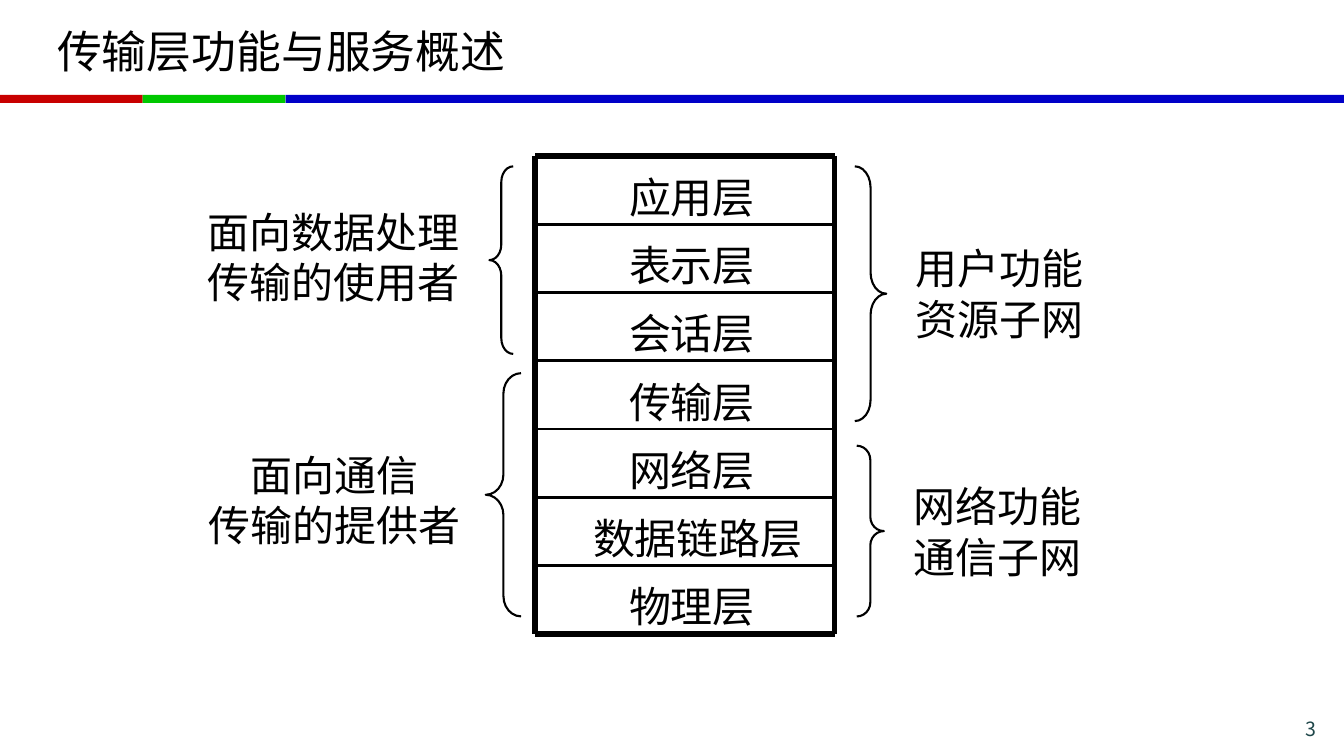
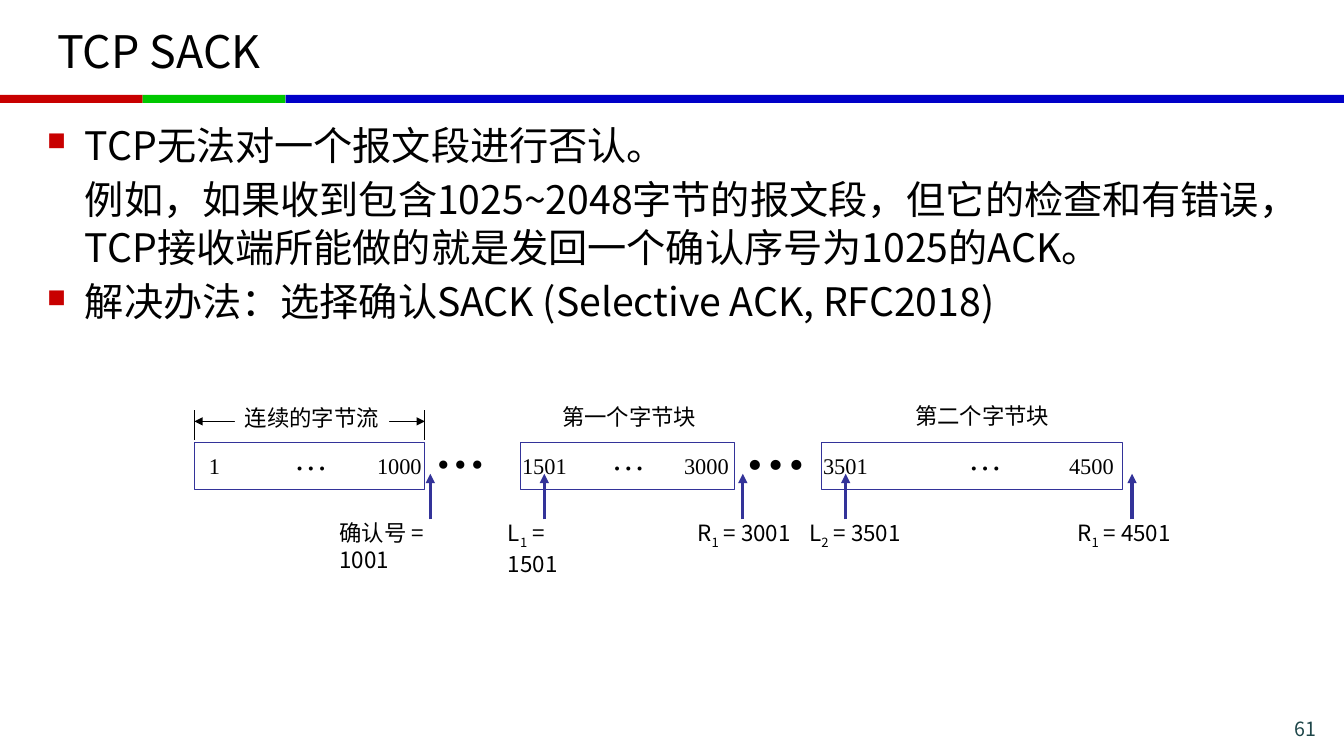
from lxml import etree
from pptx import Presentation
from pptx.dml.color import RGBColor
from pptx.enum.shapes import MSO_CONNECTOR, MSO_SHAPE
from pptx.enum.text import MSO_ANCHOR, PP_ALIGN
from pptx.oxml.ns import qn
from pptx.util import Pt

STRAIGHT = MSO_CONNECTOR.STRAIGHT
RECTANGLE = MSO_SHAPE.RECTANGLE
LEFT_BRACE, RIGHT_BRACE = MSO_SHAPE.LEFT_BRACE, MSO_SHAPE.RIGHT_BRACE
TOP, MIDDLE = MSO_ANCHOR.TOP, MSO_ANCHOR.MIDDLE
LEFT, CENTER, RIGHT = PP_ALIGN.LEFT, PP_ALIGN.CENTER, PP_ALIGN.RIGHT

SANS, SERIF = "Noto Sans CJK SC", "Times New Roman"
BLACK, WHITE, NAVY, PAGE_GREEN = "000000", "FFFFFF", "333399", "1E4649"
RED, GREEN, BLUE = "C80000", "00C800", "0000C8"
WIDTH, HEIGHT = 960, 540


def rgb(value):
    return RGBColor.from_string(value)


def add_xml(parent, tag, **attributes):
    return etree.SubElement(parent, qn(tag), **attributes)


class Deck:
    def __init__(self):
        self.prs = Presentation()
        self.prs.slide_width, self.prs.slide_height = Pt(WIDTH), Pt(HEIGHT)
        self.shapes = None

    def new_slide(self, title, number):
        """Start a slide with its title, colour band and page number."""
        self.shapes = self.prs.slides.add_slide(self.prs.slide_layouts[6]).shapes
        for left, right, color in ((0, 102, RED), (102, 204, GREEN), (204, WIDTH, BLUE)):
            self.shape(RECTANGLE, left, 67.7, right - left, 5.8, fill=color)
        self.text(title, 33.8, 5.8, 892, 60.5, size=32, anchor=MIDDLE, wrap=True)
        self.text(number, 854, 508.3, 93.6, 20.2, size=14, color=PAGE_GREEN,
                  align=RIGHT, wrap=True)

    def shape(self, kind, left, top, width, height, fill=None, line=None, weight=0.75):
        shape = self.shapes.add_shape(kind, Pt(left), Pt(top), Pt(width), Pt(height))
        shape.shadow.inherit = False
        if fill:
            shape.fill.solid()
            shape.fill.fore_color.rgb = rgb(fill)
        else:
            shape.fill.background()
        if line:
            shape.line.color.rgb = rgb(line)
            shape.line.width = Pt(weight)
        else:
            shape.line.fill.background()
        return shape

    def brace(self, kind, left, top, width, height):
        brace = self.shape(kind, left, top, width, height, line=BLACK, weight=1.5)
        brace.adjustments[0] = height / 12 / width

    def line(self, x1, y1, x2, y2, color=BLACK, weight=0.75, head=False, tail=False):
        line = self.shapes.add_connector(STRAIGHT, Pt(x1), Pt(y1), Pt(x2), Pt(y2))
        line.line.color.rgb = rgb(color)
        line.line.width = Pt(weight)
        for wanted, tag in ((head, "a:headEnd"), (tail, "a:tailEnd")):
            if wanted:
                add_xml(line.line._get_or_add_ln(), tag, type="triangle")
        add_xml(line._element.spPr, "a:effectLst")

    def style(self, paragraph, size, font, color, bold=False):
        paragraph.font.size = Pt(size)
        paragraph.font.name = font
        paragraph.font.bold = bold
        paragraph.font.color.rgb = rgb(color)
        add_xml(paragraph._p.pPr.find(qn("a:defRPr")), "a:ea", typeface=font)

    def text(self, content, left, top, width, height, size=16, font=SANS, color=BLACK,
             align=LEFT, anchor=TOP, wrap=False, margins=(7.2, 3.6), bold=False, fill=None):
        """Each line is a string, or a tuple whose odd parts are subscripts."""
        box = self.shapes.add_textbox(Pt(left), Pt(top), Pt(width), Pt(height))
        if fill:
            box.fill.solid()
            box.fill.fore_color.rgb = rgb(fill)
        frame = box.text_frame
        frame.word_wrap = wrap
        frame.vertical_anchor = anchor
        frame.margin_left = frame.margin_right = Pt(margins[0])
        frame.margin_top = frame.margin_bottom = Pt(margins[1])
        lines = content if isinstance(content, list) else [content]
        for i, parts in enumerate(lines):
            paragraph = frame.add_paragraph() if i else frame.paragraphs[0]
            paragraph.alignment = align
            for j, part in enumerate((parts,) if isinstance(parts, str) else parts):
                run = paragraph.add_run()
                run.text = part
                if j % 2:
                    run._r.get_or_add_rPr().set("baseline", "-25000")
            self.style(paragraph, size, font, color, bold)

    def body(self, items, left, top, width, height, size=28):
        """Items are (bulleted, text) pairs sharing one text indent."""
        box = self.shapes.add_textbox(Pt(left), Pt(top), Pt(width), Pt(height))
        box.text_frame.word_wrap = True
        indent = Pt(27)
        for i, (bulleted, content) in enumerate(items):
            paragraph = box.text_frame.add_paragraph() if i else box.text_frame.paragraphs[0]
            paragraph.text = content
            if i:
                paragraph.space_before = Pt(size * 0.2)
            props = paragraph._p.get_or_add_pPr()
            props.set("marL", str(indent))
            props.set("indent", str(-indent if bulleted else 0))
            if bulleted:
                add_xml(add_xml(props, "a:buClr"), "a:srgbClr", val=RED)
                add_xml(props, "a:buSzPct", val="65000")
                add_xml(props, "a:buChar", char="■")
            self.style(paragraph, size, SANS, BLACK)


def layers_slide(deck):
    deck.new_slide("传输层功能与服务概述", "3")

    # Protocol stack
    layers = ["应用层", "表示层", "会话层", "传输层", "网络层", "数据链路层", "物理层"]
    left, right, top, pitch = 382.3, 596.2, 111.4, 48.77
    bottom = top + pitch * len(layers)
    for i, layer in enumerate(layers):
        center = 498.6 if len(layer) > 3 else 494.3
        width = 30 * len(layer)
        deck.text(layer, center - width / 2, top + 11 + i * pitch, width, 36,
                  size=30, align=CENTER, margins=(0, 0))
    for i in range(len(layers) + 1):
        y = top + i * pitch
        deck.line(left, y, right, y, weight=3.88 if i in (0, len(layers)) else 1.88)
    for x in (left, right):
        deck.line(x, top, x, bottom, weight=3.88)

    # Roles on both sides
    roles = [
        (["面向数据处理", "传输的使用者"], 139.7, 147.6, 197.3),
        (["面向通信", "传输的提供者"], 139.7, 321.1, 198.7),
        (["用户功能", "资源子网"], 638.6, 173.5, 150.5),
        (["网络功能", "通信子网"], 638.6, 343.4, 147.6),
    ]
    for lines, x, y, width in roles:
        deck.text(lines, x, y, width, 72, size=30, align=CENTER, wrap=True, margins=(0, 0))

    # Braces
    deck.brace(LEFT_BRACE, 349.6, 118.8, 17, 134)
    deck.brace(LEFT_BRACE, 347, 266.6, 25.2, 173.7)
    deck.brace(RIGHT_BRACE, 610.6, 118.8, 22.5, 182)
    deck.brace(RIGHT_BRACE, 612, 318.4, 19.4, 122)


def sack_slide(deck):
    deck.new_slide("TCP SACK", "61")
    deck.body([
        (True, "TCP无法对一个报文段进行否认。"),
        (False, "例如，如果收到包含1025~2048字节的报文段，但它的检查和有错误，"
                "TCP接收端所能做的就是发回一个确认序号为1025的ACK。"),
        (True, "解决办法：选择确认SACK (Selective ACK, RFC2018)"),
    ], 26.6, 82.8, 880, 164)

    # Byte blocks: left, width, then (text, left) of the first and last byte, ellipsis left
    blocks = [
        (139, 164.2, ("1", 149.3), ("1000", 269.3), 203),
        (371.5, 153.4, ("1501", 372.9), ("3000", 488.6), 429.8),
        (586.8, 215.3, ("3501", 587.9), ("4500", 763.6), 684.7),
    ]
    for left, width, first, last, dots in blocks:
        deck.shape(RECTANGLE, left, 316.1, width, 33.8, fill=WHITE, line=NAVY)
        for byte, x in (first, last):
            deck.text(byte, x, 319.7, 8 * len(byte), 26.6, font=SERIF, margins=(0, 3.6))
        deck.text("…", dots, 308.2, 38.2, 36, size=24, font=SERIF)

    # Missing bytes between the blocks
    deck.text("…", 303.8, 295.2, 50.4, 50.4, size=36, font=SERIF, bold=True)
    deck.text("…", 524.9, 288, 58.3, 59.8, size=44, font=SERIF, bold=True)

    # Extent of the contiguous stream and block captions
    stream_left, stream_right = 138.8, 303.5
    deck.line(stream_left, 301, stream_right, 301, head=True, tail=True)
    for x in (stream_left, stream_right):
        deck.line(x, 293, x, 314)
    deck.text("连续的字节流", 167.8, 285.1, 110.2, 26.6, fill=WHITE)
    deck.text("第一个字节块", 394.6, 284.4, 110.2, 26.6)
    deck.text("第二个字节块", 646.6, 283.7, 110.2, 26.6)

    # Edge markers: arrow x, label, label left, label width, wrapped
    edges = [
        (307.4, "确认号 = 1001", 235.4, 90, True),
        (388.8, ("L", "1", " = 1501"), 355.7, 65, True),
        (530.6, ("R", "1", " = 3001"), 491, 82.8, False),
        (604.1, ("L", "2", " = 3501"), 571, 82.8, False),
        (808.6, ("R", "1", " = 4501"), 762.5, 82.8, False),
    ]
    for x, label, left, width, wrap in edges:
        deck.line(x, 371, x, 338.4, color=NAVY, weight=2.25, tail=True)
        deck.text(label, left, 367.5, width, 26.6, wrap=wrap)


def main():
    deck = Deck()
    layers_slide(deck)
    sack_slide(deck)
    deck.prs.save("out.pptx")


if __name__ == "__main__":
    main()
